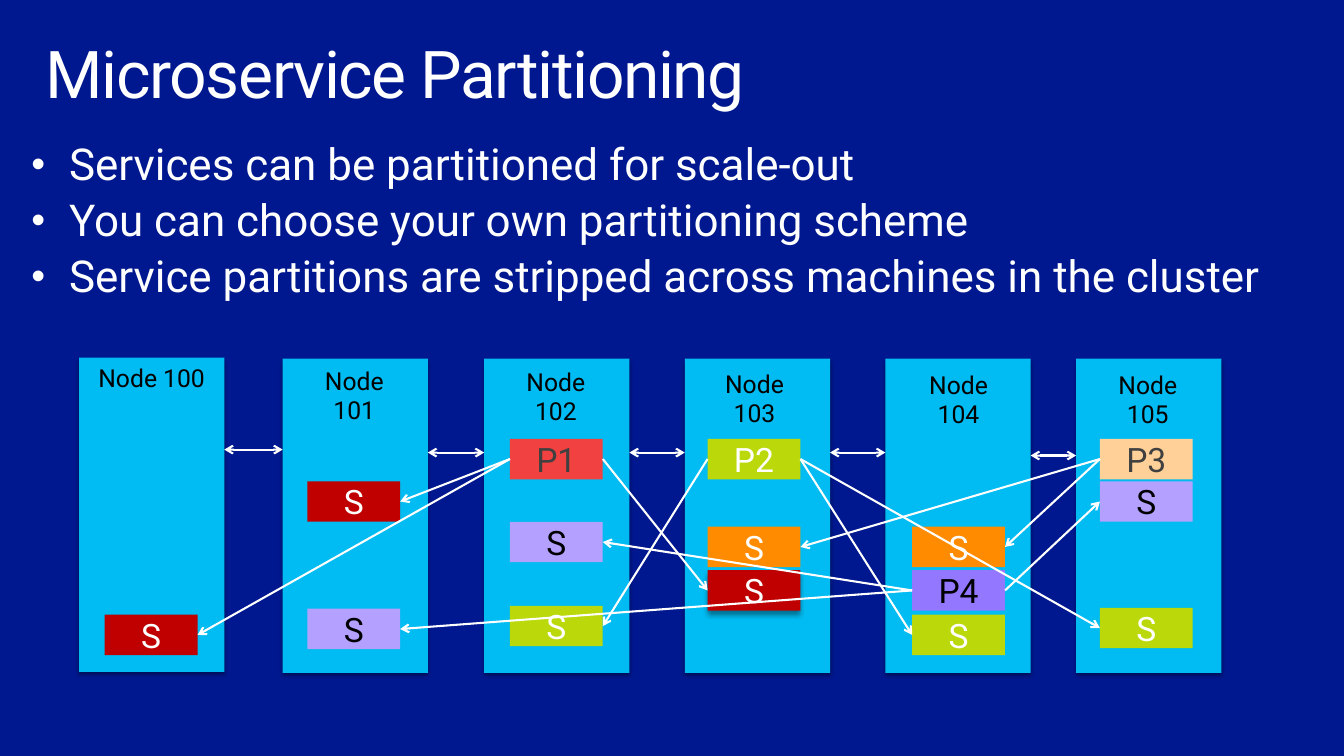
from lxml.etree import SubElement
from pptx import Presentation
from pptx.dml.color import RGBColor
from pptx.enum.shapes import MSO_CONNECTOR, MSO_SHAPE
from pptx.enum.text import MSO_ANCHOR, PP_ALIGN
from pptx.oxml.ns import qn
from pptx.util import Inches, Pt

FONT = "Roboto"
NAVY = RGBColor(0x00, 0x18, 0x8F)
CYAN = RGBColor(0x00, 0xBC, 0xF2)
LIME = RGBColor(0xBA, 0xD8, 0x0A)
ORANGE = RGBColor(0xFF, 0x8C, 0x00)
PEACH = RGBColor(0xFF, 0xD1, 0x99)
CRIMSON = RGBColor(0xC0, 0x00, 0x00)
CORAL = RGBColor(0xF1, 0x41, 0x41)
VIOLET = RGBColor(0x93, 0x77, 0xFF)
LAVENDER = RGBColor(0xB4, 0xA0, 0xFF)
WHITE = RGBColor(0xFF, 0xFF, 0xFF)
GRAY = RGBColor(0x40, 0x40, 0x40)
BLACK = RGBColor(0x00, 0x00, 0x00)

LEFT_SIDE, RIGHT_SIDE = 1, 3
NODE_WIDTH, NODE_HEIGHT = 1.47, 3.18
REPLICA_WIDTH, REPLICA_HEIGHT = 0.94, 0.41

prs = Presentation()
prs.slide_width, prs.slide_height = Inches(13.6), Inches(7.65)
slide = prs.slides.add_slide(prs.slide_layouts[6])
slide.background.fill.solid()
slide.background.fill.fore_color.rgb = NAVY


def add_block(left, top, width, height, color, shadow=None):
    """Add a borderless rectangle; shadow is (blur, distance) in points."""
    block = slide.shapes.add_shape(
        MSO_SHAPE.RECTANGLE, Inches(left), Inches(top), Inches(width), Inches(height))
    block.fill.solid()
    block.fill.fore_color.rgb = color
    block.line.fill.background()
    block.shadow.inherit = False
    if shadow:
        blur, distance = shadow
        effects = block._element.spPr.find(qn("a:effectLst"))
        outer = SubElement(effects, qn("a:outerShdw"), blurRad=str(Pt(blur)),
                           dist=str(Pt(distance)), dir="5400000", rotWithShape="0")
        shade = SubElement(outer, qn("a:srgbClr"), val="000000")
        SubElement(shade, qn("a:alpha"), val="40000")
    return block


def add_arrow(kind, start, end, ends=("tailEnd",)):
    arrow = slide.shapes.add_connector(kind, *map(Inches, start + end))
    arrow.line.color.rgb = WHITE
    arrow.line.width = Pt(1.5)
    outline = arrow.line._get_or_add_ln()
    for tip in ends:
        SubElement(outline, qn(f"a:{tip}"), type="arrow")
    SubElement(arrow._element.spPr, qn("a:effectLst"))
    return arrow


# Title
title = slide.shapes.add_textbox(Inches(0.3), Inches(0.32), Inches(13), Inches(1)).text_frame
title.word_wrap = True
title.margin_left = title.margin_right = Inches(0.16)
title.margin_top = title.margin_bottom = Inches(0.1)
heading = title.paragraphs[0]
heading.line_spacing = 0.9
heading.font.size, heading.font.name = Pt(48), FONT
heading.font.color.rgb = WHITE
heading_run = heading.add_run()
heading_run.text = "Microservice Partitioning"
heading_run._r.get_or_add_rPr().set("spc", "-100")

# Key points
points = slide.shapes.add_textbox(
    Inches(0.22), Inches(1.39), Inches(13.38), Inches(3.02)).text_frame
points.word_wrap = True
points.text = "\n".join([
    "Services can be partitioned for scale-out",
    "You can choose your own partitioning scheme",
    "Service partitions are stripped across machines in the cluster",
])
for point in points.paragraphs:
    point.line_spacing = 0.9
    point.space_before = Pt(6.4)
    properties = point._p.get_or_add_pPr()
    properties.set("marL", str(Inches(0.38)))
    properties.set("indent", str(-Inches(0.38)))
    SubElement(properties, qn("a:buSzPct"), val="90000")
    SubElement(properties, qn("a:buFont"), typeface="Arial")
    SubElement(properties, qn("a:buChar"), char="•")
    point.font.size, point.font.name = Pt(32), FONT
    point.font.color.rgb = WHITE

# Cluster nodes: number, left, top, label left, label top, label width
nodes = [
    (100, 0.8, 3.62, 0.8, 3.62, NODE_WIDTH),
    (101, 2.86, 3.63, 2.99, 3.65, 1.19),
    (102, 4.9, 3.63, 5.01, 3.66, 1.23),
    (103, 6.93, 3.63, 7.02, 3.68, 1.23),
    (104, 8.96, 3.63, 9.08, 3.69, 1.24),
    (105, 10.89, 3.63, 11, 3.69, 1.23),
]
for number, left, top, label_left, label_top, label_width in nodes:
    add_block(left, top, NODE_WIDTH, NODE_HEIGHT, CYAN, shadow=(3, 2))
    label = slide.shapes.add_textbox(
        Inches(label_left), Inches(label_top), Inches(label_width), Inches(0.41)).text_frame
    label.word_wrap = True
    label.text = f"Node {number}"
    caption = label.paragraphs[0]
    caption.alignment = PP_ALIGN.CENTER
    caption.font.size, caption.font.name = Pt(18), FONT
    caption.font.color.rgb = BLACK

# Links between neighbouring nodes
for node, neighbour, level in zip(nodes, nodes[1:], [4.55, 4.58, 4.58, 4.58, 4.61]):
    add_arrow(MSO_CONNECTOR.ELBOW, (neighbour[1], level), (node[1] + NODE_WIDTH, level),
              ends=("headEnd", "tailEnd"))

# Partition replicas: key, left, top, fill, text colour (S = secondary, P = primary)
replicas = {}
for key, left, top, color, text_color in [
    ("S1 on 100", 1.06, 6.22, CRIMSON, WHITE),
    ("S1 on 101", 3.11, 4.87, CRIMSON, WHITE),
    ("S4 on 101", 3.11, 6.16, LAVENDER, BLACK),
    ("P1", 5.16, 4.44, CORAL, GRAY),
    ("S4 on 102", 5.16, 5.28, LAVENDER, BLACK),
    ("S2 on 102", 5.16, 6.13, LIME, WHITE),
    ("P2", 7.16, 4.44, LIME, WHITE),
    ("S3 on 103", 7.16, 5.33, ORANGE, WHITE),
    ("S1 on 103", 7.16, 5.77, CRIMSON, WHITE),
    ("S3 on 104", 9.23, 5.33, ORANGE, WHITE),
    ("P4", 9.23, 5.77, VIOLET, BLACK),
    ("S2 on 104", 9.23, 6.22, LIME, WHITE),
    ("P3", 11.13, 4.44, PEACH, GRAY),
    ("S4 on 105", 11.13, 4.87, LAVENDER, BLACK),
    ("S2 on 105", 11.13, 6.15, LIME, WHITE),
]:
    replica = add_block(left, top, REPLICA_WIDTH, REPLICA_HEIGHT, color,
                        shadow=(4, 3.4) if key == "S1 on 103" else None)
    replicas[key] = replica
    frame = replica.text_frame
    frame.vertical_anchor = MSO_ANCHOR.MIDDLE
    frame.text = key if key.startswith("P") else "S"
    role = frame.paragraphs[0]
    role.alignment = PP_ALIGN.CENTER
    role.font.size, role.font.name = Pt(24.5), FONT
    role.font.color.rgb = text_color

# Replication from each primary to its secondaries
for primary, primary_side, secondary, secondary_side in [
    ("P1", LEFT_SIDE, "S1 on 100", RIGHT_SIDE),
    ("P1", LEFT_SIDE, "S1 on 101", RIGHT_SIDE),
    ("P1", RIGHT_SIDE, "S1 on 103", LEFT_SIDE),
    ("P2", LEFT_SIDE, "S2 on 102", RIGHT_SIDE),
    ("P2", RIGHT_SIDE, "S2 on 104", LEFT_SIDE),
    ("P2", RIGHT_SIDE, "S2 on 105", LEFT_SIDE),
    ("P3", LEFT_SIDE, "S3 on 103", RIGHT_SIDE),
    ("P3", LEFT_SIDE, "S3 on 104", RIGHT_SIDE),
    ("P4", LEFT_SIDE, "S4 on 101", RIGHT_SIDE),
    ("P4", LEFT_SIDE, "S4 on 102", RIGHT_SIDE),
    ("P4", RIGHT_SIDE, "S4 on 105", LEFT_SIDE),
]:
    replication = add_arrow(MSO_CONNECTOR.STRAIGHT, (0, 0), (1, 1))
    replication.begin_connect(replicas[primary], primary_side)
    replication.end_connect(replicas[secondary], secondary_side)

prs.save("out.pptx")
